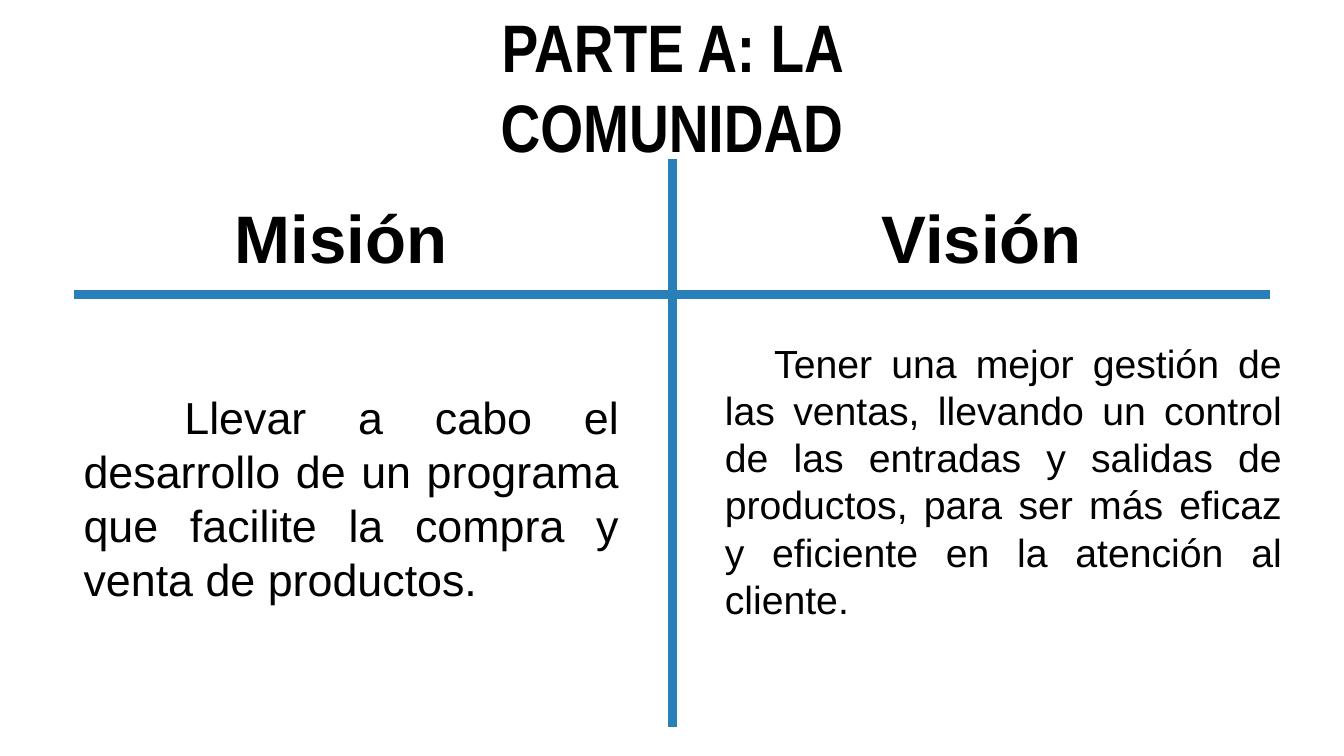
from lxml import etree
from pptx import Presentation
from pptx import util as u
from pptx.dml.color import RGBColor
from pptx.enum import shapes, text
from pptx.oxml.ns import qn

TITLE = "PARTE A: LA COMUNIDAD"
TITLE_PLACE = (3.76, 0, 5.81, 0.91)
MISSION = ("Llevar a cabo el desarrollo de un programa que facilite "
           "la compra y venta de productos.")
VISION = ("Tener una mejor gestión de las ventas, llevando un control de las "
          "entradas y salidas de productos, para ser más eficaz y eficiente "
          "en la atención al cliente.")
# Text, place (left, top, width, height), size, bold, first-line indent
HEADINGS = [
    ("Misión", (2.16, 1.9, 2.45, 0.91)),
    ("Visión", (8.61, 1.9, 2.26, 0.91)),
]
BODIES = [
    (MISSION, (0.73, 3.82, 5.51, 2.26), 32, 1.0),
    (VISION, (7.09, 3.32, 5.72, 2.93), 28, 0.49),
]
DIVIDERS = [(6.67, 1.58, 6.67, 7.21), (12.6, 2.92, 0.73, 2.92)]
BLACK, BLUE = "000000", "2980B9"


def color(value):
    return RGBColor.from_string(value)


def fill_box(box, words, place, align, indent=0, space_after=0, **font):
    """Place a text shape and write one formatted paragraph in it."""
    box.left, box.top, box.width, box.height = map(u.Inches, place)
    frame = box.text_frame
    frame.word_wrap = True
    frame.auto_size = text.MSO_AUTO_SIZE.SHAPE_TO_FIT_TEXT
    frame.vertical_anchor = text.MSO_ANCHOR.TOP
    para = frame.paragraphs[0]
    para.alignment = align
    if space_after:
        para.space_after = u.Pt(space_after)
    if indent:
        properties = para._p.get_or_add_pPr()
        properties.set("marL", "0")
        properties.set("indent", str(u.Inches(indent)))
    span = para.add_run()
    span.text = words
    span.font.color.rgb = color(BLACK)
    for name, value in font.items():
        setattr(span.font, name, value)


def add_divider(slide, ends):
    line = slide.shapes.add_connector(
        shapes.MSO_CONNECTOR.STRAIGHT, *map(u.Inches, ends))
    line.line.color.rgb = color(BLUE)
    line.line.width = u.Pt(6)
    etree.SubElement(line._element.spPr, qn("a:effectLst"))


def main():
    deck = Presentation()
    deck.slide_width, deck.slide_height = u.Inches(13.33), u.Inches(7.5)
    slide = deck.slides.add_slide(deck.slide_layouts[5])
    center, justify = text.PP_ALIGN.CENTER, text.PP_ALIGN.JUSTIFY
    heading = {"size": u.Pt(48), "bold": True}

    def new_box():
        return slide.shapes.add_textbox(0, 0, 0, 0)

    for words, place in HEADINGS:
        fill_box(new_box(), words, place, center, name="Arial", **heading)
    for ends in DIVIDERS:
        add_divider(slide, ends)
    for words, place, size, indent in BODIES:
        fill_box(new_box(), words, place, justify, indent,
                 name="Arial", size=u.Pt(size))
    fill_box(slide.shapes.title, TITLE, TITLE_PLACE, center, space_after=8,
             name="Arial Narrow", **heading)
    deck.save("out.pptx")


if __name__ == "__main__":
    main()
